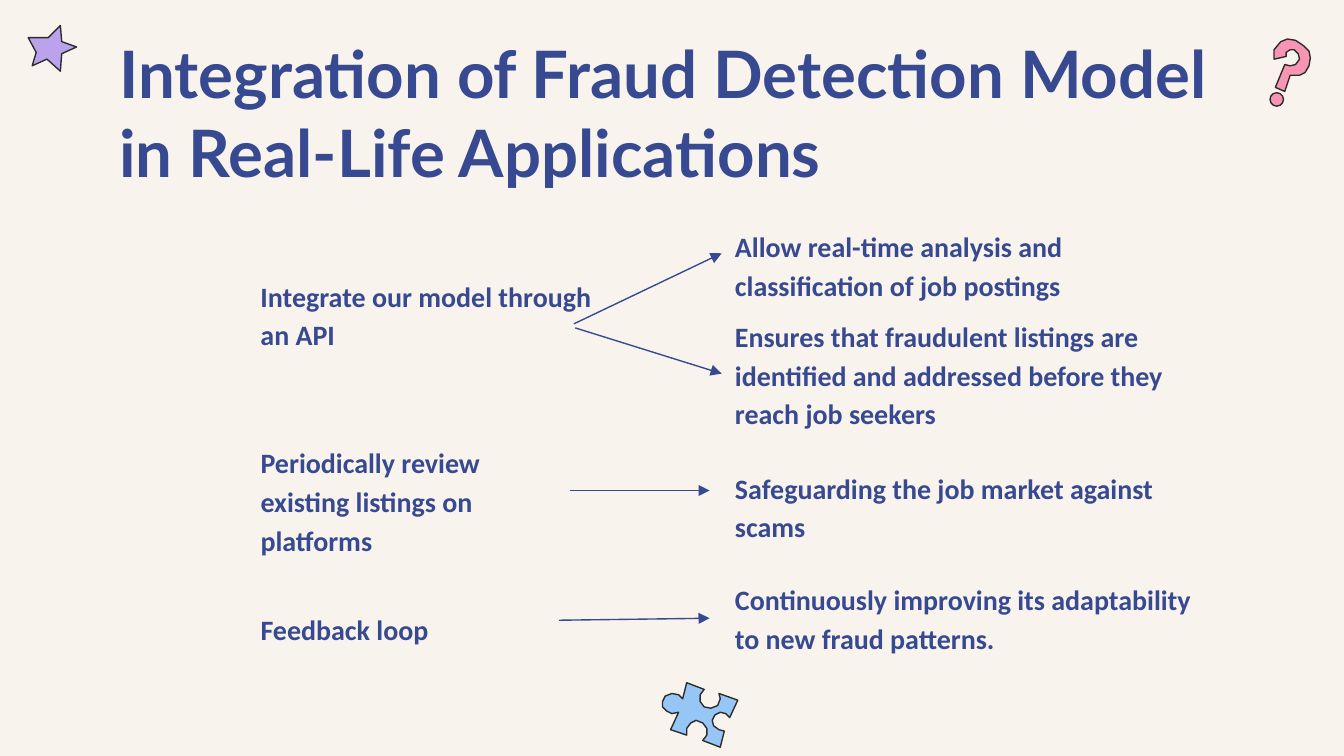
"""Build the slide on how a fraud detection model is put to use."""
from typing import NamedTuple, Optional

from pptx import Presentation
from pptx.dml.color import RGBColor
from pptx.enum import shapes, text
from pptx.oxml import ns
from pptx.util import Inches, Pt
from lxml import etree

CELL = Inches(0.01)
WIDTH = 1000 * CELL
HEIGHT = WIDTH * 9 // 16
LEFT, RIGHT = 184, 537
WIDE = 371

CREAM = RGBColor(0xF8, 0xF3, 0xEC)
NAVY = RGBColor(0x37, 0x49, 0x90)
INK = RGBColor(0x2C, 0x2C, 0x2C)
LILAC = RGBColor(0xBB, 0xA2, 0xED)
PINK = RGBColor(0xF9, 0x94, 0xB4)
BLUE = RGBColor(0x96, 0xC6, 0xF6)


class Note(NamedTuple):
    """A text block placed on the grid."""
    key: str
    col: int
    row: int
    cols: int
    rows: int
    words: str
    font: str = "Calibri"
    size: int = 15
    lead: Optional[float] = 1.15


class Arrow(NamedTuple):
    """An arrow between grid points, joined to notes where they are named."""
    start: tuple[int, int]
    end: tuple[int, int]
    tail: str = ""
    head: str = ""


class Patch(NamedTuple):
    """A filled outline given by its grid points."""
    fill: RGBColor
    points: list[tuple[int, int]]


NOTES = [
    Note("title", 79, 15, 843, 129,
         "Integration of Fraud Detection Model in Real-Life Applications",
         "Lato", 35, None),
    Note("api", LEFT, 194, 280, 97, "Integrate our model through an API"),
    Note("allow", RIGHT, 157, WIDE, 63,
         "Allow real-time analysis and classification of job postings"),
    Note("review", LEFT, 318, 232, 97,
         "Periodically review existing listings on platforms"),
    Note("ensure", RIGHT, 224, WIDE, 108,
         "Ensures that fraudulent listings are identified and addressed "
         "before they reach job seekers"),
    Note("guard", RIGHT, 337, WIDE, 76,
         "Safeguarding the job market against scams"),
    Note("loop", LEFT, 442, 232, 39, "Feedback loop"),
    Note("adapt", RIGHT, 420, WIDE, 76,
         "Continuously improving its adaptability to new fraud patterns."),
]

ARROWS = [
    Arrow((427, 241), (537, 188), head="allow"),
    Arrow((428, 244), (537, 278), head="ensure"),
    Arrow((424, 365), (528, 365)),
    Arrow((416, 462), (528, 460), tail="loop"),
]

STAR = Patch(LILAC, [
    (45, 53), (46, 40), (57, 35), (46, 31), (45, 19),
    (36, 28), (21, 28), (27, 39), (24, 49), (35, 44)])
HOOK = Patch(PINK, [
    (948, 44), (948, 37), (953, 31), (958, 29), (964, 30), (970, 34),
    (974, 38), (975, 43), (974, 49), (971, 54), (967, 56), (960, 56),
    (956, 68), (949, 65), (956, 48), (960, 49), (964, 48), (967, 44),
    (966, 40), (963, 37), (960, 37), (957, 39), (957, 42)])
PUZZLE = Patch(BLUE, [
    (511, 508), (508, 520), (505, 517), (500, 516), (495, 518), (493, 522),
    (493, 526), (496, 529), (500, 531), (505, 530), (499, 543), (511, 547),
    (511, 542), (514, 538), (518, 536), (523, 538), (526, 542), (526, 547),
    (523, 551), (536, 556), (539, 544), (535, 543), (531, 540), (530, 536),
    (532, 532), (536, 530), (540, 531), (543, 534), (549, 521), (535, 516),
    (536, 520), (534, 525), (529, 527), (524, 526), (521, 522), (521, 517),
    (524, 513)])


def paint(shape, fill: RGBColor) -> None:
    """Give a shape a flat fill and an ink outline."""
    shape.shadow.inherit = False
    shape.fill.solid()
    shape.fill.fore_color.rgb = fill
    shape.line.color.rgb = INK
    shape.line.width = Pt(0.75)


def draw_patch(slide, patch: Patch) -> None:
    """Draw a closed outline."""
    first, *rest = patch.points
    pen = slide.shapes.build_freeform(*first, scale=CELL)
    pen.add_line_segments(rest, close=True)
    paint(pen.convert_to_shape(), patch.fill)


def draw_dot(slide, col: int, row: int, size: int) -> None:
    """Draw the dot of the question mark."""
    side = size * CELL
    dot = slide.shapes.add_shape(
        shapes.MSO_SHAPE.OVAL, col * CELL, row * CELL, side, side)
    paint(dot, PINK)


def draw_note(slide, note: Note):
    """Draw a text block and return its box."""
    box = slide.shapes.add_textbox(
        *(n * CELL for n in (note.col, note.row, note.cols, note.rows)))
    frame = box.text_frame
    frame.word_wrap = True
    frame.vertical_anchor = text.MSO_ANCHOR.TOP
    frame.margin_left = frame.margin_right = Inches(0.1)
    frame.margin_top = frame.margin_bottom = Inches(0.1)
    para = frame.paragraphs[0]
    para.text = note.words
    para.line_spacing = note.lead
    para.font.name = note.font
    para.font.size = Pt(note.size)
    para.font.bold = True
    para.font.color.rgb = NAVY
    return box


def draw_arrow(slide, arrow: Arrow, boxes: dict) -> None:
    """Draw an arrow and join it to its notes."""
    link = slide.shapes.add_connector(
        shapes.MSO_CONNECTOR.STRAIGHT,
        *(n * CELL for n in arrow.start + arrow.end))
    if arrow.tail:
        link.begin_connect(boxes[arrow.tail], 3)
    if arrow.head:
        link.end_connect(boxes[arrow.head], 1)
    link.line.color.rgb = NAVY
    link.line.width = Pt(0.75)
    line = link.line._get_or_add_ln()
    etree.SubElement(line, ns.qn("a:tailEnd"), type="triangle")
    etree.SubElement(link._element.spPr, ns.qn("a:effectLst"))


def main() -> None:
    """Build and save the slide."""
    deck = Presentation()
    deck.slide_width, deck.slide_height = WIDTH, HEIGHT
    slide = deck.slides.add_slide(deck.slide_layouts[6])
    slide.background.fill.solid()
    slide.background.fill.fore_color.rgb = CREAM
    for patch in (STAR, PUZZLE, HOOK):
        draw_patch(slide, patch)
    draw_dot(slide, 945, 69, 10)
    boxes = {note.key: draw_note(slide, note) for note in NOTES}
    for arrow in ARROWS:
        draw_arrow(slide, arrow, boxes)
    deck.save("out.pptx")


if __name__ == "__main__":
    main()
